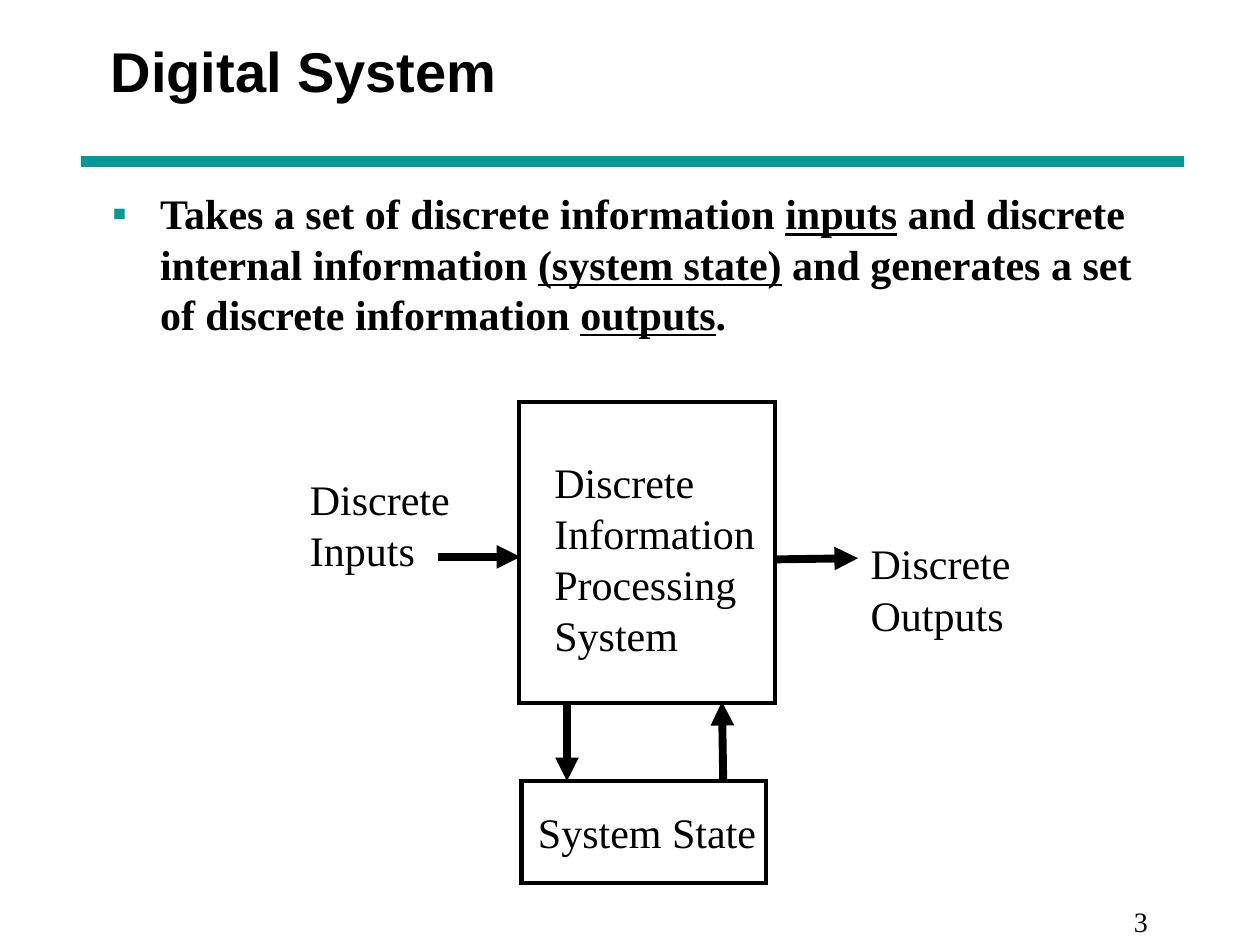
from dataclasses import dataclass

from lxml import etree
from pptx import Presentation
from pptx.dml.color import RGBColor
from pptx.enum.shapes import MSO_CONNECTOR, MSO_SHAPE
from pptx.enum.text import MSO_ANCHOR, MSO_AUTO_SIZE, PP_ALIGN
from pptx.oxml.ns import qn
from pptx.util import Inches, Pt

LINE = MSO_CONNECTOR.STRAIGHT
RECT = MSO_SHAPE.RECTANGLE
FIXED = MSO_AUTO_SIZE.NONE
MID, TOP = MSO_ANCHOR.MIDDLE, MSO_ANCHOR.TOP
LEFT = PP_ALIGN.LEFT


@dataclass(frozen=True)
class Theme:
    ink: str = "000000"
    teal: str = "009999"
    head: str = "Arial"
    text: str = "Times New Roman"
    title: int = 32
    body: int = 24
    page: int = 16
    frame: float = 2.5
    arrow: float = 4.5
    rule: float = 6


class Deck:
    """Draws on a grid of 100 columns by 75 rows."""

    def __init__(self, theme):
        self.theme = theme
        self.prs = Presentation()
        self.prs.slide_width, self.prs.slide_height = Inches(10), Inches(7.5)
        self.slide = self.prs.slides.add_slide(self.prs.slide_layouts[1])
        self.shapes = self.slide.shapes

    def grid(self, *cells):
        unit = self.prs.slide_width / 100
        return [round(cell * unit) for cell in cells]

    def style(self, para, size, face=None, bold=False):
        font = para.font
        font.name, font.size, font.bold = face or self.theme.text, Pt(size), bold
        font.color.rgb = RGBColor.from_string(self.theme.ink)
        para.alignment = LEFT
        para.space_before = Pt(0)

    def holder(self, shape, area, anchor):
        shape.left, shape.top, shape.width, shape.height = self.grid(*area)
        frame = shape.text_frame
        frame.auto_size, frame.vertical_anchor = FIXED, anchor
        return frame.paragraphs[0]

    def title(self, text, area):
        para = self.holder(self.shapes.title, area, MID)
        para.text = text
        self.style(para, self.theme.title, self.theme.head, True)

    def bullet(self, parts, area):
        """Parts alternate between plain and underlined."""
        para = self.holder(self.slide.placeholders[1], area, TOP)
        props = para._p.get_or_add_pPr()
        props.set("marL", str(Inches(0.38)))
        props.set("indent", str(-Inches(0.38)))
        color = etree.SubElement(props, qn("a:buClr"))
        etree.SubElement(color, qn("a:srgbClr"), val=self.theme.teal)
        etree.SubElement(props, qn("a:buFont"), typeface=self.theme.text)
        etree.SubElement(props, qn("a:buChar"), char="▪")
        self.style(para, self.theme.body, bold=True)
        for i, part in enumerate(parts):
            run = para.add_run()
            run.text = part
            if i % 2:
                run.font.underline = True

    def label(self, lines, col, row, pitch=4.06):
        """Lines are pairs of text and width, set one below the other."""
        for i, (text, width) in enumerate(lines):
            area = self.grid(col, row + i * pitch, width, 4)
            frame = self.shapes.add_textbox(*area).text_frame
            frame.margin_left = frame.margin_right = 0
            frame.margin_top = frame.margin_bottom = 0
            frame.word_wrap, frame.auto_size = True, FIXED
            frame.text = text
            self.style(frame.paragraphs[0], self.theme.body)

    def page(self, number, area):
        frame = self.shapes.add_textbox(*self.grid(*area)).text_frame
        frame.word_wrap = True
        frame.margin_left = Inches(1.1)
        frame.text = str(number)
        self.style(frame.paragraphs[0], self.theme.page)

    def box(self, *area):
        shape = self.shapes.add_shape(RECT, *self.grid(*area))
        shape.shadow.inherit = False
        shape.fill.background()
        shape.line.color.rgb = RGBColor.from_string(self.theme.ink)
        shape.line.width = Pt(self.theme.frame)
        etree.SubElement(shape.line._get_or_add_ln(), qn("a:miter"), lim="800000")

    def line(self, ends, color, width):
        link = self.shapes.add_connector(LINE, *self.grid(*ends))
        link.line.color.rgb = RGBColor.from_string(color)
        link.line.width = Pt(width)
        etree.SubElement(link._element.spPr, qn("a:effectLst"))
        return link

    def arrow(self, *ends):
        link = self.line(ends, self.theme.ink, self.theme.arrow)
        etree.SubElement(link.line._get_or_add_ln(), qn("a:tailEnd"), type="triangle")


def main():
    theme = Theme()
    deck = Deck(theme)

    # Heading and statement
    deck.line((6.4, 12.8, 94, 12.8), theme.teal, theme.rule)
    deck.title("Digital System", (7.8, 0, 85, 11.2))
    deck.bullet(
        ["Takes a set of discrete information ", "inputs",
         " and discrete internal information ", "(system state)",
         " and generates a set of discrete information ", "outputs", "."],
        (7.9, 14.4, 85, 55))

    # System and its state
    deck.label([("Discrete", 11.4), ("Information", 16.2),
                ("Processing", 14.8), ("System", 10.1)], 44, 36.2)
    deck.label([("System State", 17.6)], 42.7, 64)
    deck.box(41.2, 31.9, 20.3, 23.9)
    deck.box(41.4, 62, 19.4, 8.1)

    # Inputs and outputs
    deck.label([("Discrete", 11.4), ("Inputs", 8.6)], 24.6, 37.6)
    deck.label([("Discrete", 11.4), ("Outputs", 10.9)], 69.1, 42.7)

    # Flow
    deck.arrow(34.8, 44.2, 41.3, 44.2)
    deck.arrow(61.4, 44.4, 68.1, 44.3)
    deck.arrow(45, 55.9, 45, 62)
    deck.arrow(57.4, 61.9, 57.3, 55.7)

    # Page number
    deck.page(3, (79, 71.3, 21, 3.7))
    deck.prs.save("out.pptx")


if __name__ == "__main__":
    main()
